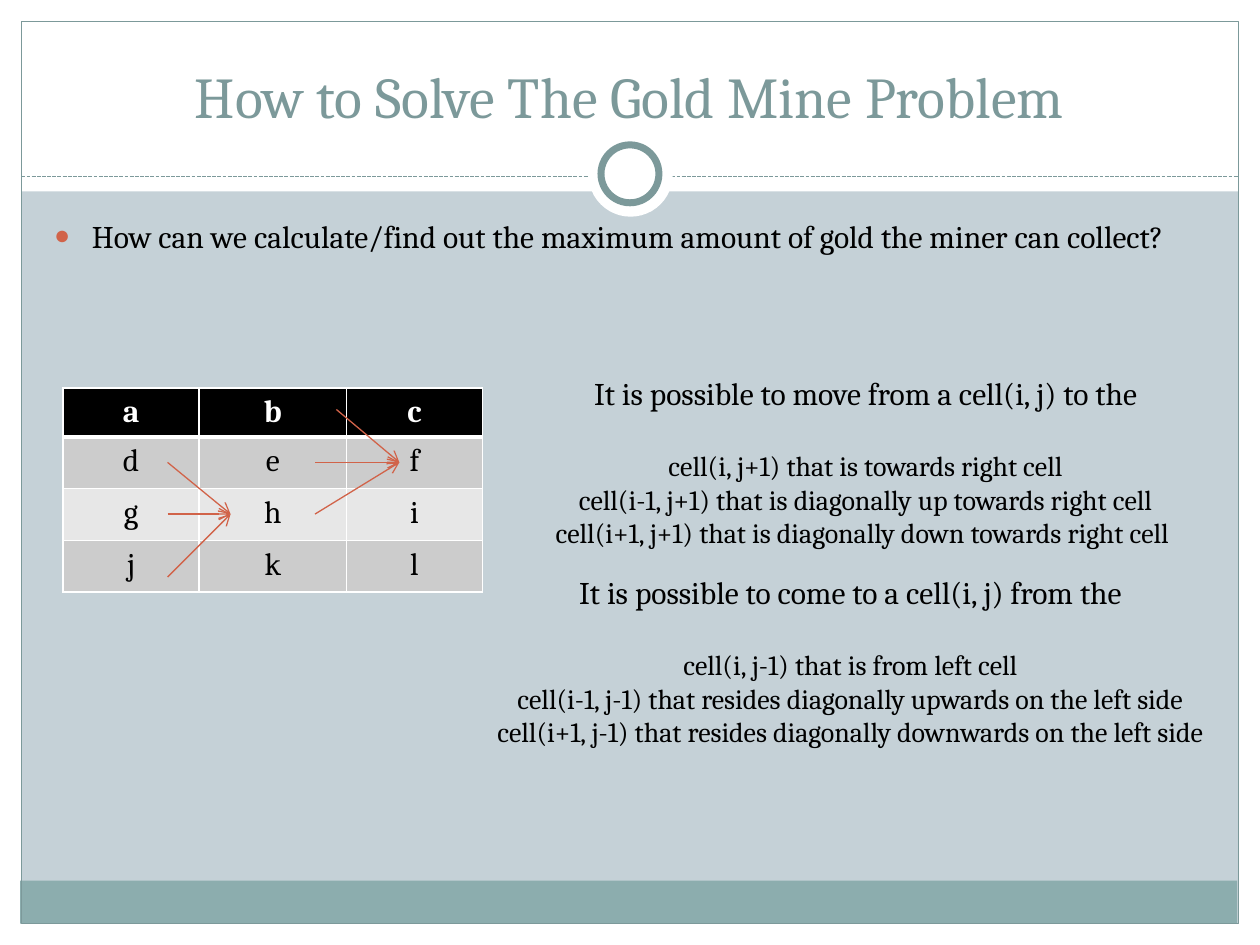
"""Build the gold mine problem slide."""
from lxml.etree import SubElement
from pptx import Presentation
from pptx.dml.color import RGBColor
from pptx.enum.dml import MSO_LINE
from pptx.enum.shapes import MSO_CONNECTOR, MSO_SHAPE
from pptx.enum.text import MSO_ANCHOR, PP_ALIGN
from pptx.oxml import parse_xml
from pptx.oxml.ns import nsdecls, qn
from pptx.util import Inches, Pt

FONT = "Cambria"
WHITE = RGBColor(0xFF, 0xFF, 0xFF)
BLACK = RGBColor(0, 0, 0)
BACK = RGBColor(0xC5, 0xD1, 0xD7)
TEAL = RGBColor(0x7C, 0x99, 0x9A)
FOOT = RGBColor(0x8C, 0xAD, 0xAE)
RED = RGBColor(0xD1, 0x63, 0x49)
BANDS = RGBColor(0xCC, 0xCC, 0xCC), RGBColor(0xE7, 0xE7, 0xE7)

TITLE = "How to Solve The Gold Mine Problem"
BULLET = "How can we calculate/find out the maximum amount of gold the miner can collect?"
GRID = ["abc", "def", "ghi", "jkl"]
COLS = [1.08, 1.17, 1.08]
ROWS = [0.35, 0.41, 0.41, 0.41]
PANELS = [
    ((0, 7.33, 10, 0.17), WHITE),
    ((0, 0, 10, 1.52), WHITE),
    ((0, 0, 0.17, 7.5), WHITE),
    ((9.83, 0, 0.17, 7.5), WHITE),
    ((0.16, 6.99, 9.66, 0.34), FOOT),
]
NOTES = [
    ((4.08, 2.92, 5.58, 1.51), "It is possible to move from a cell(i, j) to the", [
        "cell(i, j+1) that is towards right cell",
        "cell(i-1, j+1) that is diagonally up towards right cell",
        "cell(i+1, j+1) that is diagonally down towards right cell ",
    ]),
    ((3.5, 4.5, 6.5, 1.51), "It is possible to come to a cell(i, j) from the", [
        "cell(i, j-1) that is from left cell",
        "cell(i-1, j-1) that resides diagonally upwards on the left side",
        "cell(i+1, j-1) that resides diagonally downwards on the left side",
    ]),
]
MOVES = [
    ((1.83, 4.08), [(1.33, 3.67), (1.33, 4.08), (1.33, 4.58)]),
    ((3.17, 3.67), [(2.5, 3.67), (2.5, 4.08), (2.67, 3.25)]),
]

deck = Presentation()
deck.slide_width, deck.slide_height = Inches(10), Inches(7.5)
slide = deck.slides.add_slide(deck.slide_layouts[1])
slide.background.fill.solid()
slide.background.fill.fore_color.rgb = BACK
shapes = slide.shapes


def box(at):
    return [Inches(n) for n in at]


def style(par, size, color=BLACK, align=PP_ALIGN.CENTER, bold=False):
    par.alignment = align
    for run in par.runs:
        font = run.font
        font.name, font.size, font.bold = FONT, Pt(size), bold
        font.color.rgb = color


def panel(at, fill=None, line=None, width=0.75, kind=MSO_SHAPE.RECTANGLE):
    part = shapes.add_shape(kind, *box(at))
    part.shadow.inherit = False
    if fill is None:
        part.fill.background()
    else:
        part.fill.solid()
        part.fill.fore_color.rgb = fill
    if line is None:
        part.line.fill.background()
    else:
        part.line.color.rgb = line
        part.line.width = Pt(width)


def link(start, end, color):
    line = shapes.add_connector(MSO_CONNECTOR.STRAIGHT, *box(start + end))
    line.line.color.rgb = color
    line.line.width = Pt(0.75)
    SubElement(line._element.spPr, qn("a:effectLst"))
    return line.line


def place(holder, at, text):
    holder.left, holder.top, holder.width, holder.height = box(at)
    holder.text_frame.text = text
    shapes._spTree.append(holder._element)
    return holder.text_frame.paragraphs[0]


def border(cell, low):
    props = cell._tc.get_or_add_tcPr()
    for spot, (side, width) in enumerate([("L", 1), ("R", 1), ("T", 1), ("B", low)]):
        props.insert(spot, parse_xml(
            f'<a:ln{side} {nsdecls("a")} w="{Pt(width)}"><a:solidFill>'
            f'<a:srgbClr val="{WHITE}"/></a:solidFill></a:ln{side}>'))


for at, fill in PANELS:
    panel(at, fill)
panel((0.17, 0.17, 9.66, 7.16), line=TEAL)
link((0.17, 1.4), (9.83, 1.4), TEAL).dash_style = MSO_LINE.SQUARE_DOT
panel((4.67, 1.05, 0.67, 0.67), WHITE, kind=MSO_SHAPE.OVAL)
panel((4.77, 1.15, 0.46, 0.46), WHITE, TEAL, 4, MSO_SHAPE.OVAL)

head, body = shapes.title, slide.placeholders[1]
style(place(head, (0.33, 0.25, 9.33, 0.83), TITLE), 33, TEAL)
head.text_frame.vertical_anchor = MSO_ANCHOR.BOTTOM
item = place(body, (0.33, 1.67, 9.3, 5), BULLET)
style(item, 18, align=PP_ALIGN.JUSTIFY)
props = item._p.get_or_add_pPr()
props.set("marL", str(Inches(0.3)))
props.set("indent", str(Inches(-0.3)))
SubElement(SubElement(props, qn("a:buClr")), qn("a:srgbClr"), val=str(RED))
SubElement(props, qn("a:buSzPct"), val="85000")
SubElement(props, qn("a:buChar"), char="●")

table = shapes.add_table(len(ROWS), len(COLS), *box((0.5, 3.08, sum(COLS), sum(ROWS)))).table
for col, width in zip(table.columns, COLS):
    col.width = Inches(width)
for r, letters in enumerate(GRID):
    table.rows[r].height = Inches(ROWS[r])
    top = r == 0
    for c, letter in enumerate(letters):
        cell = table.cell(r, c)
        cell.text_frame.text = letter
        style(cell.text_frame.paragraphs[0], 18, WHITE if top else BLACK, bold=top)
        cell.fill.solid()
        cell.fill.fore_color.rgb = BLACK if top else BANDS[(r - 1) % 2]
        border(cell, 3 if top else 1)

for at, lead, cells in NOTES:
    frame = shapes.add_textbox(*box(at)).text_frame
    frame.word_wrap = True
    frame.text = "\n".join([lead] + cells)
    for n, par in enumerate(frame.paragraphs):
        style(par, 16 if n else 18)
    frame.paragraphs[1].space_before = Pt(21)

for end, starts in MOVES:
    for start in starts:
        line = link(start, end, RED)
        SubElement(line._get_or_add_ln(), qn("a:tailEnd"), type="arrow")

deck.save("out.pptx")
